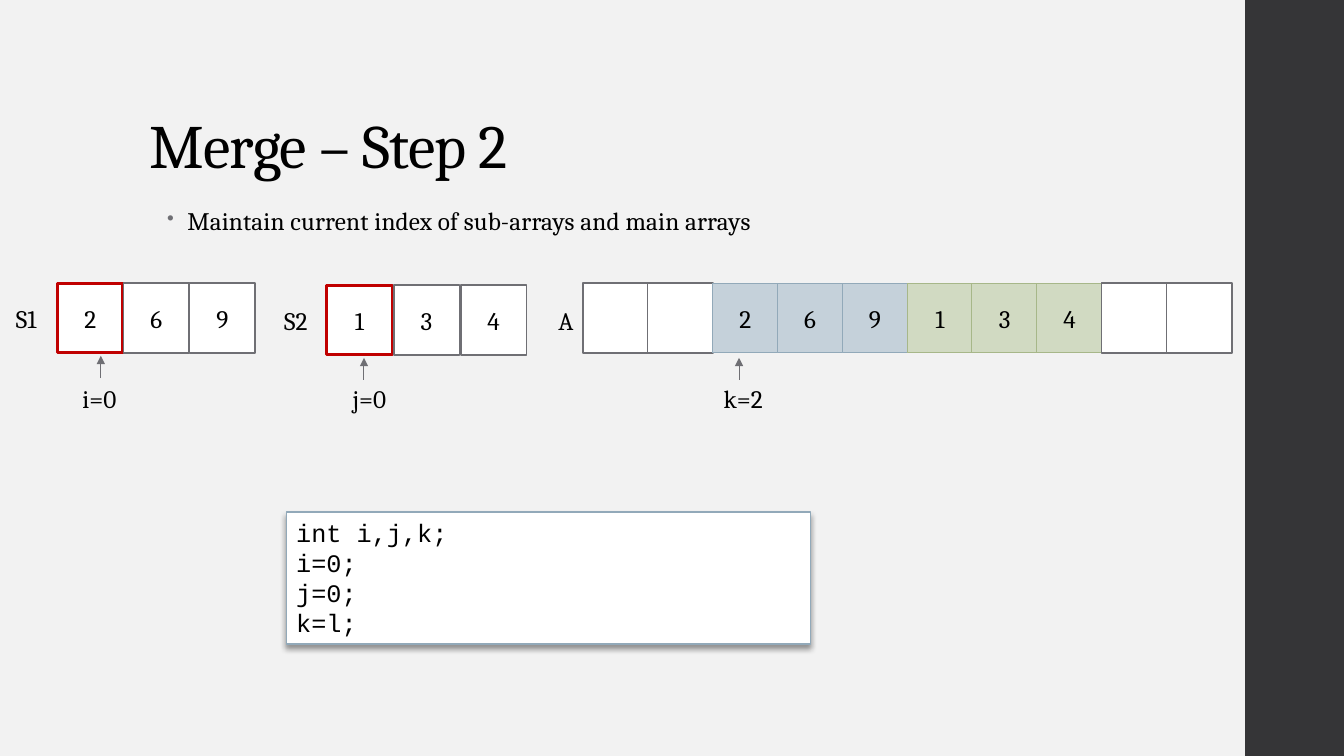
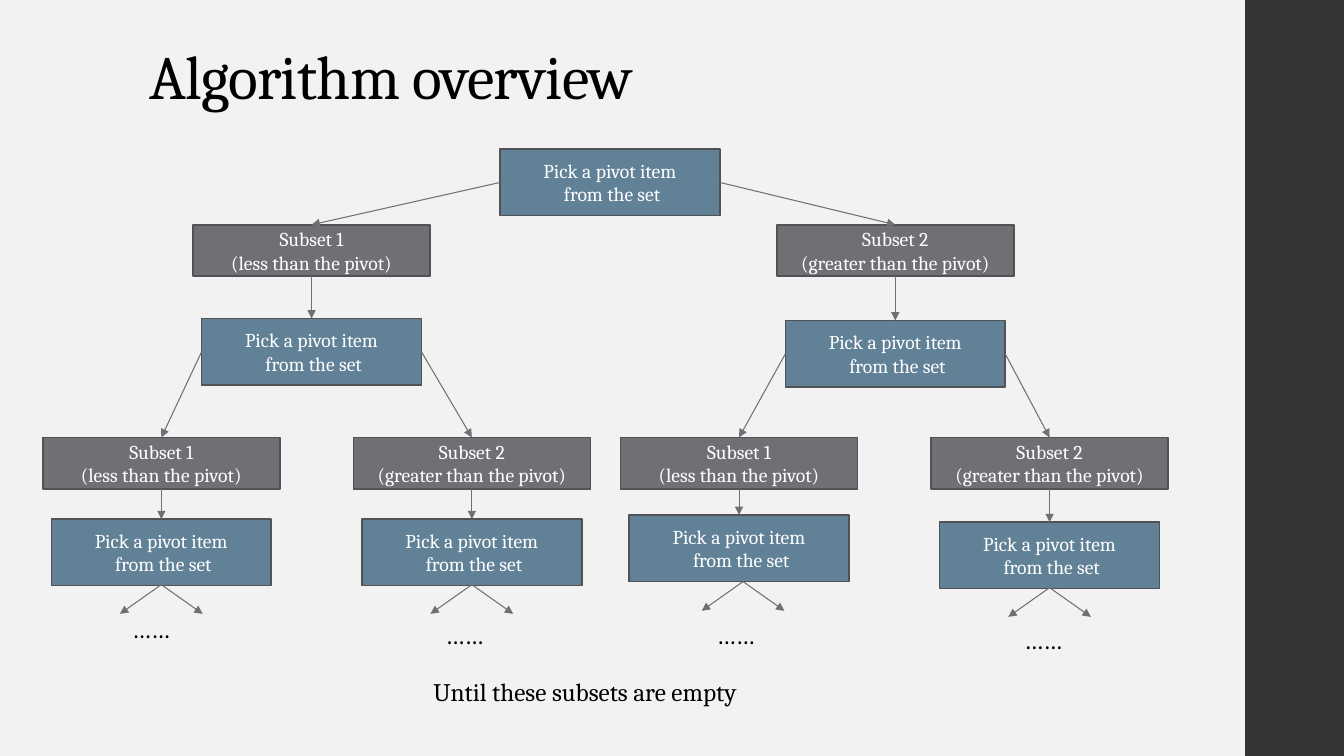
from dataclasses import dataclass

from lxml.etree import SubElement as Sub
from pptx import Presentation
from pptx.dml.color import RGBColor as Rgb
from pptx.enum.shapes import MSO_CONNECTOR as Link, MSO_SHAPE as Kind
from pptx.enum.text import MSO_ANCHOR as Anchor, MSO_AUTO_SIZE as Fit, PP_ALIGN as Align
from pptx.oxml.ns import qn
from pptx.util import Inches, Pt


@dataclass(frozen=True)
class Theme:
    # Colours
    page: str = "F2F2F2"
    band: str = "353537"
    ink: str = "000000"
    white: str = "FFFFFF"
    gray: str = "6F6F74"
    dark: str = "525256"
    blue: str = "618197"
    edge: str = "92A9B9"
    pale: str = "C5D1DA"
    moss: str = "A7B789"
    sage: str = "D1DAC2"
    red: str = "C00000"
    # Fonts and sizes in points
    serif: str = "Cambria"
    mono: str = "Courier New"
    head: int = 44
    body: int = 18
    small: int = 14
    thin: float = 0.75
    line: float = 1.1
    thick: float = 2.25


T = Theme()

# Fill, line colour and line width of each box style
PLAIN = (T.white, T.gray, T.line)
HOT = (T.white, T.red, T.thick)
LEFT = (T.pale, T.edge, T.thin)
RIGHT = (T.sage, T.moss, T.thin)
CODE = (T.white, T.edge, T.line)
PICK = (T.blue, T.dark, T.line)
SUBSET = (T.gray, T.dark, T.line)

# Sites where links join a box
TOP, WEST, BASE, EAST = range(4)


def write(frame, text, size=T.body, color=T.ink, font=T.serif, align=Align.LEFT,
          anchor=Anchor.TOP, space=None, track=None, bullet=None):
    """Fill a text frame, one paragraph for each line of text."""
    frame.vertical_anchor = anchor
    for i, line in enumerate(text.split("\n")):
        para = frame.add_paragraph() if i else frame.paragraphs[0]
        para.alignment = align
        if space:
            para.line_spacing = space
        if bullet:
            props = para._p.get_or_add_pPr()
            props.set("marL", str(Inches(0.2)))
            props.set("indent", str(-Inches(0.2)))
            Sub(Sub(props, qn("a:buClr")), qn("a:srgbClr"), val=T.gray)
            Sub(props, qn("a:buSzPct"), val="80000")
            Sub(props, qn("a:buChar"), char=bullet)
        run = para.add_run()
        run.text = line
        run.font.size = Pt(size)
        run.font.name = font
        run.font.color.rgb = Rgb.from_string(color)
        if track:
            run._r.get_or_add_rPr().set("spc", str(round(track * 100)))


class Deck:
    def __init__(self):
        self.prs = Presentation()
        self.prs.slide_width = Inches(13.33)
        self.prs.slide_height = Inches(7.5)
        fill = self.prs.slide_master.background.fill
        fill.solid()
        fill.fore_color.rgb = Rgb.from_string(T.page)

    def start(self, title, high):
        """Open a slide with its side band and a title of the given height."""
        self.slide = self.prs.slides.add_slide(self.prs.slide_layouts[5])
        self.shapes = self.slide.shapes
        self.box(12.35, 0, 1, 7.5, (T.band, None, 0))
        head = self.shapes.title
        head.left, head.top = Inches(1.38), Inches(0.4)
        head.width, head.height = Inches(10.6), Inches(high)
        head.text_frame.auto_size = Fit.NONE
        write(head.text_frame, title, size=T.head, anchor=Anchor.BOTTOM,
              space=0.9, track=-0.5)

    def box(self, x, y, wide, high, style, text="", kind=Kind.RECTANGLE, home=None, **form):
        shape = (home or self.shapes).add_shape(
            kind, Inches(x), Inches(y), Inches(wide), Inches(high))
        fill, edge, width = style
        shape.shadow.inherit = False
        shape.fill.solid()
        shape.fill.fore_color.rgb = Rgb.from_string(fill)
        if edge:
            shape.line.color.rgb = Rgb.from_string(edge)
            shape.line.width = Pt(width)
        else:
            shape.line.fill.background()
        if text:
            write(shape.text_frame, text,
                  **{"align": Align.CENTER, "anchor": Anchor.MIDDLE, **form})
        return shape

    def label(self, x, y, wide, text, home=None):
        shape = (home or self.shapes).add_textbox(
            Inches(x), Inches(y), Inches(wide), Inches(0.4))
        shape.text_frame.word_wrap = False
        shape.text_frame.auto_size = Fit.SHAPE_TO_FIT_TEXT
        write(shape.text_frame, text)

    def point(self, text):
        shape = self.shapes.add_textbox(
            Inches(1.56), Inches(2.01), Inches(9.4), Inches(4.76))
        shape.text_frame.word_wrap = True
        write(shape.text_frame, text, space=0.95, track=0.1, bullet="•")

    def row(self, name, spot, x, y, step, cells):
        """Draw a named array as one group of evenly spaced cells."""
        home = self.shapes.add_group_shape().shapes
        for i, (text, style) in enumerate(cells):
            self.box(x + i * step, y, 0.65, 0.69, style, text,
                     kind=Kind.FLOWCHART_PROCESS, home=home)
        self.label(*spot, name, home=home)

    def code(self, x, y, wide, high, text):
        shape = self.box(x, y, wide, high, CODE, text, font=T.mono,
                         align=Align.LEFT, anchor=Anchor.TOP)
        glow = shape._element.spPr.find(qn("a:effectLst"))
        cast = Sub(glow, qn("a:outerShdw"), blurRad=str(Pt(4)), dist=str(Pt(3)),
                   dir="5400000", rotWithShape="0")
        tint = Sub(cast, qn("a:srgbClr"), val=T.ink)
        Sub(tint, qn("a:alpha"), val="40000")

    def arrow(self, x, y, far, low):
        line = self.shapes.add_connector(
            Link.STRAIGHT, Inches(x), Inches(y), Inches(far), Inches(low))
        line.line.color.rgb = Rgb.from_string(T.gray)
        line.line.width = Pt(T.thin)
        Sub(line.line._get_or_add_ln(), qn("a:tailEnd"), type="triangle")
        Sub(line._element.spPr, qn("a:effectLst"))
        return line

    def join(self, start, site, end):
        """Link a site of one box to the top of the next."""
        line = self.arrow(0, 0, 1, 1)
        line.begin_connect(start, site)
        line.end_connect(end, TOP)

    def pick(self, mid, y):
        return self.box(mid - 1.09, y, 2.18, 0.66, PICK,
                        "Pick a pivot item\n from the set", size=T.small, color=T.white)

    def split(self, root, mids, y, lows):
        """Hang both subsets under a pick box, each with its own pick box."""
        names = ("Subset 1\n(less than the pivot)", "Subset 2\n(greater than the pivot)")
        picks = []
        for text, mid, low, site in zip(names, mids, lows, (WEST, EAST)):
            part = self.box(mid - 1.175, y, 2.35, 0.51, SUBSET, text,
                            size=T.small, color=T.white)
            child = self.pick(mid, low)
            self.join(root, site, part)
            self.join(part, BASE, child)
            picks.append(child)
        return picks


def merge(deck):
    deck.start("Merge – Step 2", 1.45)
    deck.point("Maintain current index of sub-arrays and main arrays")

    # Main array and its two sorted halves
    blank = [("", PLAIN)] * 2
    main = [(n, LEFT) for n in "269"] + [(n, RIGHT) for n in "134"]
    deck.row("A", (5.44, 2.98, 0.38), 5.78, 2.81, (11.57 - 5.78) / 9, blank + main + blank)
    deck.row("S1", (0.06, 2.96, 0.5), 0.57, 2.81, 0.655,
             [("2", HOT), ("6", PLAIN), ("9", PLAIN)])
    deck.row("S2", (2.72, 2.98, 0.5), 3.24, 2.83, 0.665,
             [("1", HOT), ("3", PLAIN), ("4", PLAIN)])

    # Index marks
    for text, x, wide, tip, y in (("i=0", 0.72, 0.57, 1, 3.53),
                                  ("j=0", 3.4, 0.57, 3.61, 3.55),
                                  ("k=2", 7.08, 0.64, 7.33, 3.55)):
        deck.label(x, 3.75, wide, text)
        deck.arrow(tip, y + 0.22, tip, y)

    deck.code(2.84, 5.08, 5.2, 1.31, "int i,j,k;\ni=0;\nj=0;\nk=l;")


def tree(deck):
    deck.start("Algorithm overview", 0.77)

    # Two levels of splits
    root = deck.pick(6.05, 1.48)
    left, right = deck.split(root, (3.09, 8.88), 2.23, (3.16, 3.18))
    deck.split(left, (1.6, 4.68), 4.34, (5.15, 5.15))
    deck.split(right, (7.33, 10.41), 4.34, (5.11, 5.18))

    # Further splits, left open
    for mid, y, x, low in ((1.6, 5.8, 1.21, 6.04), (4.68, 5.8, 4.32, 6.09),
                           (7.37, 5.77, 7.01, 6.09), (10.41, 5.83, 10.06, 6.14)):
        for side in (-0.41, 0.41):
            deck.arrow(mid, y, mid + side, y + 0.29)
        deck.label(x, low, 0.71, "……")
    deck.label(4.2, 6.66, 3.7, "Until these subsets are empty")


def main():
    deck = Deck()
    merge(deck)
    tree(deck)
    deck.prs.save("out.pptx")


if __name__ == "__main__":
    main()
